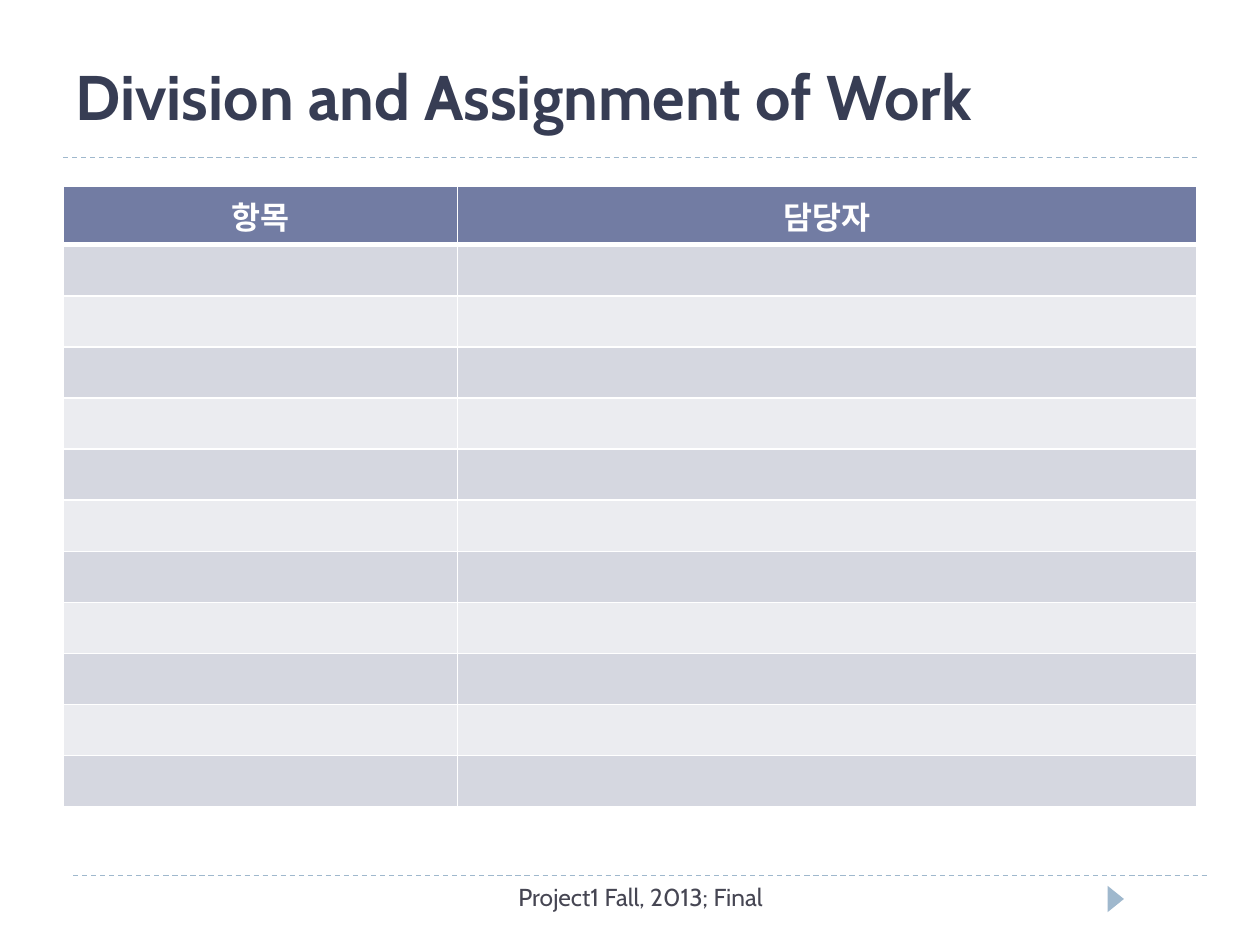
import dataclasses

import pptx
import pptx.dml.color
import pptx.enum.dml
import pptx.enum.shapes
import pptx.enum.text
import pptx.oxml
import pptx.oxml.ns
import pptx.util
from pptx.util import Inches


@dataclasses.dataclass(frozen=True)
class Theme:
    font: str = "Cabin"
    title: str = "373D54"
    footer: str = "464653"
    accent: str = "9FB8CD"
    header: str = "727CA3"
    bands: tuple = ("D5D7E0", "EBECF0")
    white: str = "FFFFFF"
    title_size: int = 36
    table_size: int = 18
    footer_size: int = 14
    rule_width: float = 0.75
    border_width: int = 1
    header_border_width: int = 3


THEME = Theme()
CENTER = pptx.enum.text.PP_ALIGN.CENTER


def rgb(color):
    return pptx.dml.color.RGBColor.from_string(color)


def write(text_frame, text, size, color, bold=False, alignment=CENTER):
    text_frame.text = text
    paragraph = text_frame.paragraphs[0]
    paragraph.alignment = alignment
    font = paragraph.runs[0].font
    font.name = THEME.font
    font.size = pptx.util.Pt(size)
    font.bold = bold
    font.color.rgb = rgb(color)


def add_rule(slide, left, top, width):
    rule = slide.shapes.add_connector(
        pptx.enum.shapes.MSO_CONNECTOR.STRAIGHT, left, top, left + width, top)
    rule.line.color.rgb = rgb(THEME.accent)
    rule.line.width = pptx.util.Pt(THEME.rule_width)
    rule.line.dash_style = pptx.enum.dml.MSO_LINE.DASH
    properties = rule._element.spPr
    properties.append(properties.makeelement(pptx.oxml.ns.qn("a:effectLst"), {}))


def add_title(slide, text, left, top, width, height):
    title = slide.shapes.title
    title.left, title.top, title.width, title.height = left, top, width, height
    title.text_frame.word_wrap = True
    title.text_frame.vertical_anchor = pptx.enum.text.MSO_ANCHOR.BOTTOM
    write(title.text_frame, text, THEME.title_size, THEME.title, True,
          pptx.enum.text.PP_ALIGN.LEFT)
    add_rule(slide, left, Inches(1.25), width)


def set_borders(cell, bottom_width):
    properties = cell._tc.get_or_add_tcPr()
    widths = {"lnL": THEME.border_width, "lnR": THEME.border_width,
              "lnT": THEME.border_width, "lnB": bottom_width}
    for position, (side, width) in enumerate(widths.items()):
        border = pptx.oxml.parse_xml(
            f'<a:{side} {pptx.oxml.ns.nsdecls("a")} w="{pptx.util.Pt(width)}">'
            f'<a:solidFill><a:srgbClr val="{THEME.white}"/></a:solidFill></a:{side}>')
        properties.insert(position, border)


def add_work_table(slide, headings, row_count, left, top, width, height):
    table = slide.shapes.add_table(
        row_count, len(headings), left, top, width, height).table
    first_width = Inches(3.13)
    table.columns[0].width = first_width
    table.columns[1].width = width - first_width
    for row_index, row in enumerate(table.rows):
        is_header = row_index == 0
        for heading, cell in zip(headings, row.cells):
            cell.fill.solid()
            band = THEME.bands[(row_index - 1) % len(THEME.bands)]
            cell.fill.fore_color.rgb = rgb(THEME.header if is_header else band)
            set_borders(cell, THEME.header_border_width if is_header
                        else THEME.border_width)
            if is_header:
                cell.vertical_anchor = pptx.enum.text.MSO_ANCHOR.MIDDLE
                write(cell.text_frame, heading, THEME.table_size, THEME.white, True)


def add_footer(slide, text, left, top, width, height):
    add_rule(slide, left, top, width)
    box = slide.shapes.add_textbox(Inches(3.17), top, Inches(3.83), height)
    box.text_frame.word_wrap = True
    write(box.text_frame, text, THEME.footer_size, THEME.footer)
    marker = slide.shapes.add_shape(
        pptx.enum.shapes.MSO_SHAPE.ISOSCELES_TRIANGLE,
        Inches(8.75), top + Inches(0.12), Inches(0.21), Inches(0.13))
    marker.rotation = 90
    marker.shadow.inherit = False
    marker.fill.solid()
    marker.fill.fore_color.rgb = rgb(THEME.accent)
    marker.line.fill.background()


def main():
    presentation = pptx.Presentation()
    presentation.slide_width = Inches(10)
    presentation.slide_height = Inches(7.5)
    slide = presentation.slides.add_slide(presentation.slide_layouts[5])
    left, width = Inches(0.5), Inches(9)
    add_title(slide, "Division and Assignment of Work",
              left, Inches(0.4), width, Inches(0.71))
    add_work_table(slide, ("항목", "담당자"), 12,
                   left, Inches(1.48), width, Inches(4.87))
    add_footer(slide, "Project1 Fall, 2013; Final",
               Inches(0.58), Inches(6.95), width, Inches(0.4))
    presentation.save("out.pptx")


if __name__ == "__main__":
    main()
